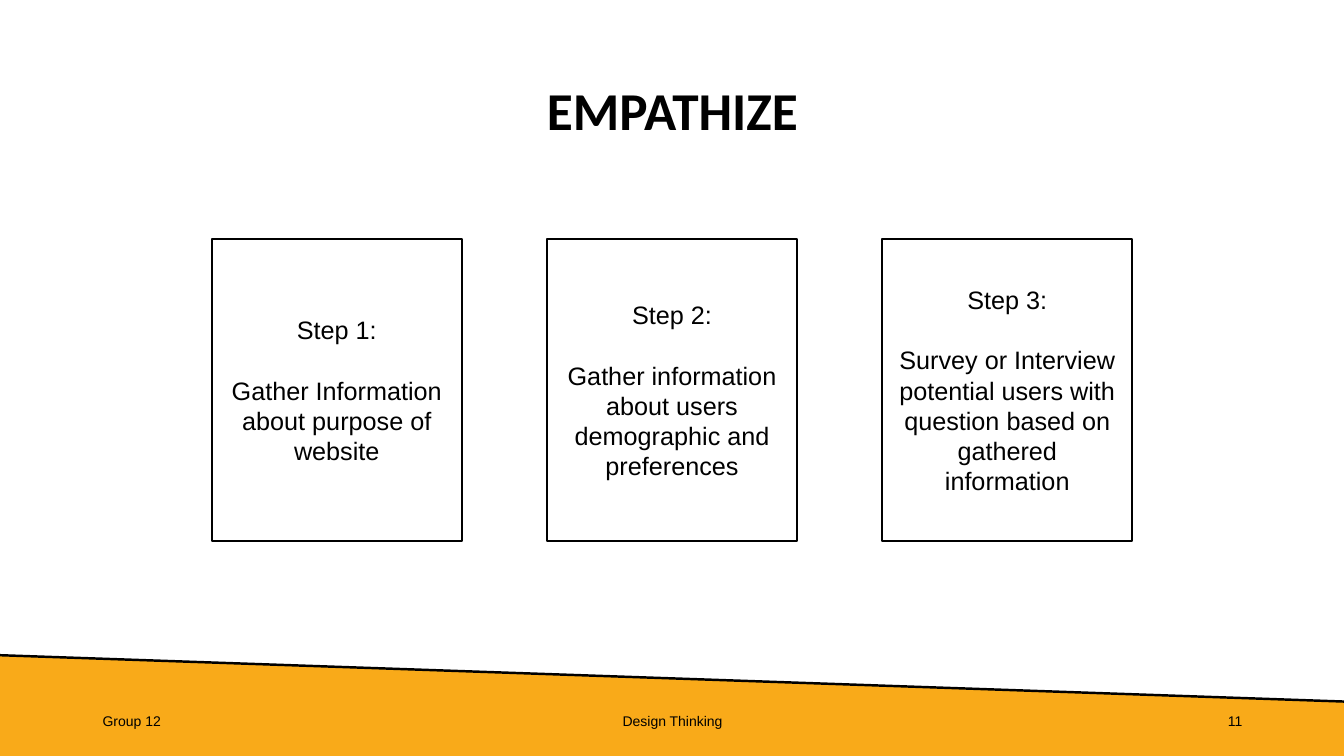
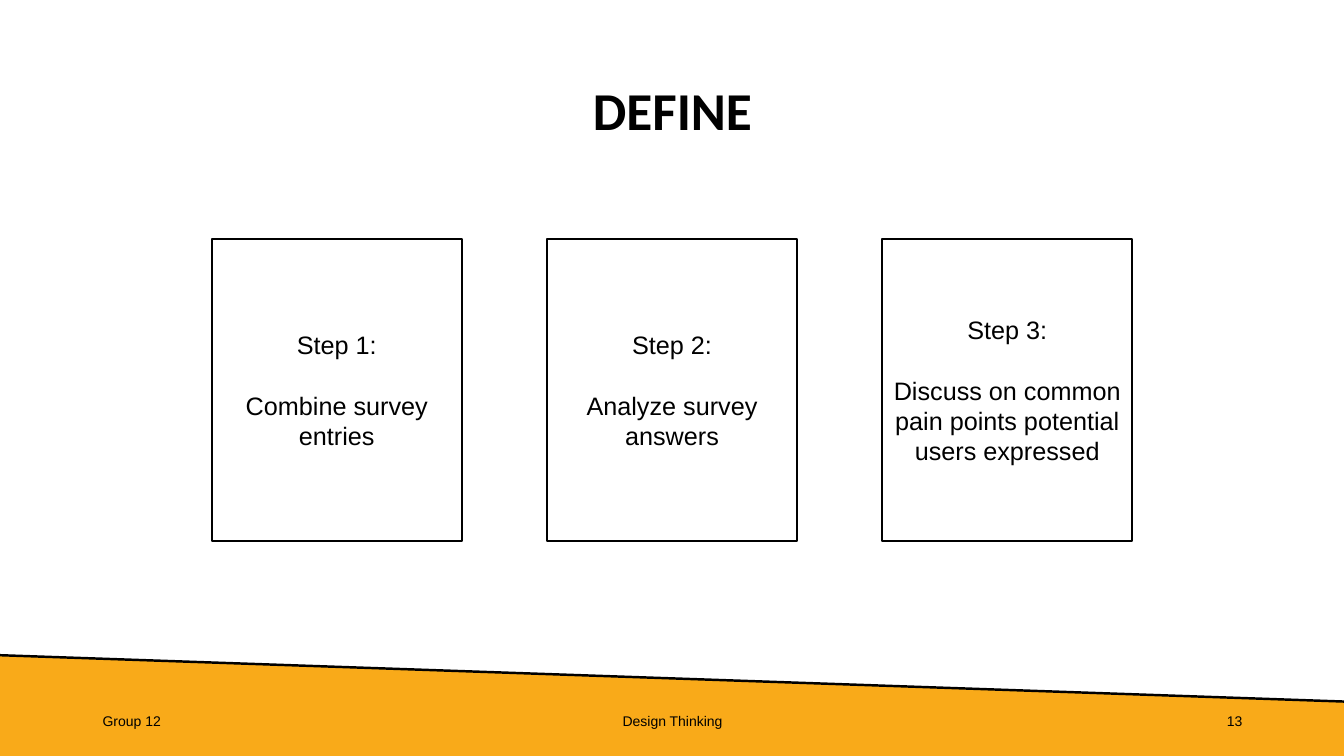
from dataclasses import dataclass

from lxml import etree
from pptx import Presentation
from pptx.dml.color import RGBColor
from pptx.enum.shapes import MSO_CONNECTOR, MSO_SHAPE
from pptx.enum.text import MSO_ANCHOR, MSO_AUTO_SIZE, PP_ALIGN
from pptx.oxml.ns import qn
from pptx.util import Inches, Pt

RECTANGLE = MSO_SHAPE.RECTANGLE
STRAIGHT = MSO_CONNECTOR.STRAIGHT
MIDDLE = MSO_ANCHOR.MIDDLE
NO_AUTOFIT = MSO_AUTO_SIZE.NONE
LEFT, CENTER, RIGHT = PP_ALIGN.LEFT, PP_ALIGN.CENTER, PP_ALIGN.RIGHT
TITLE_ONLY = 5


@dataclass(frozen=True)
class Theme:
    ink: RGBColor = RGBColor(0x00, 0x00, 0x00)
    paper: RGBColor = RGBColor(0xFF, 0xFF, 0xFF)
    band: RGBColor = RGBColor(0xF9, 0xAA, 0x19)
    title_font: str = "Calibri"
    body_font: str = "Arial"
    title_size: Pt = Pt(38)
    step_size: Pt = Pt(18)
    step_gap: Pt = Pt(21.6)
    footer_size: Pt = Pt(10)
    card_line: Pt = Pt(1.5)
    band_line: Pt = Pt(1.75)


THEME = Theme()

# Boxes in inches: left, top, width, height
SLIDE_WIDTH, SLIDE_HEIGHT = 13.33, 7.5
TITLE_BOX = (0.92, 0.4, 11.5, 1.45)
CARDS_BOX = (2.1, 2.37, 9.13, 3)
BAND_BOX = (0, 6.5, SLIDE_WIDTH, 1)
FOOTER_BOX = (0.92, 6.95, 11.5, 0.4)
CARD_WIDTH = 2.48
BAND_DROP = 0.46

GROUP_NAME = "Group 12"
TOPIC = "Design Thinking"

SLIDES = [
    ("EMPATHIZE", 11, [
        "Gather Information about purpose of website",
        "Gather information about users demographic and preferences",
        "Survey or Interview potential users with question based on "
        "gathered information",
    ]),
    ("DEFINE", 13, [
        "Combine survey entries",
        "Analyze survey answers",
        "Discuss on common pain points potential users expressed",
    ]),
]


def inches(box):
    return [Inches(length) for length in box]


def format_text(frame, size, font, align, bold=False):
    frame.word_wrap = True
    frame.auto_size = NO_AUTOFIT
    frame.vertical_anchor = MIDDLE
    for paragraph in frame.paragraphs:
        paragraph.alignment = align
        for run in paragraph.runs:
            run.font.size = size
            run.font.name = font
            run.font.bold = bold
            run.font.color.rgb = THEME.ink


def place_title(slide, box, text):
    title = slide.shapes.title
    title.left, title.top, title.width, title.height = inches(box)
    title.text_frame.text = text
    format_text(title.text_frame, THEME.title_size, THEME.title_font, CENTER, True)
    title.text_frame.paragraphs[0].line_spacing = 0.9


def draw_band(slide, box):
    left, top, width, height = box
    right, bottom = left + width, top + height
    start = Inches(left), Inches(top)
    end = Inches(right), Inches(top + BAND_DROP)

    # Slanted colour field
    outline = slide.shapes.build_freeform(*start)
    outline.add_line_segments([
        end,
        (Inches(right), Inches(bottom)),
        (Inches(left), Inches(bottom)),
    ])
    band = outline.convert_to_shape()
    band.shadow.inherit = False
    band.fill.solid()
    band.fill.fore_color.rgb = THEME.band
    band.line.fill.background()

    # Upper edge
    edge = slide.shapes.add_connector(STRAIGHT, *start, *end)
    edge.line.color.rgb = THEME.ink
    edge.line.width = THEME.band_line
    etree.SubElement(edge._element.spPr, qn("a:effectLst"))


def place_footer(slide, box, number):
    left, top, width, height = box
    side, middle = 3, 4.5
    entries = [
        (GROUP_NAME, left, side, LEFT),
        (TOPIC, left + (width - middle) / 2, middle, CENTER),
        (str(number), left + width - side, side, RIGHT),
    ]
    for text, entry_left, entry_width, align in entries:
        entry = slide.shapes.add_textbox(*inches((entry_left, top, entry_width, height)))
        entry.text_frame.text = text
        format_text(entry.text_frame, THEME.footer_size, THEME.body_font, align)


def draw_card(slide, box, number, text):
    card = slide.shapes.add_shape(RECTANGLE, *inches(box))
    card.shadow.inherit = False
    card.fill.solid()
    card.fill.fore_color.rgb = THEME.paper
    card.line.color.rgb = THEME.ink
    card.line.width = THEME.card_line
    frame = card.text_frame
    frame.text = f"Step {number}:\n{text}"
    format_text(frame, THEME.step_size, THEME.body_font, CENTER)
    frame.paragraphs[0].space_after = THEME.step_gap


def draw_cards(slide, box, steps):
    left, top, width, height = box
    pitch = (width - CARD_WIDTH) / (len(steps) - 1)
    for index, text in enumerate(steps):
        card_box = (left + index * pitch, top, CARD_WIDTH, height)
        draw_card(slide, card_box, index + 1, text)


def add_steps_slide(deck, title, number, steps):
    slide = deck.slides.add_slide(deck.slide_layouts[TITLE_ONLY])
    draw_band(slide, BAND_BOX)
    place_title(slide, TITLE_BOX, title)
    place_footer(slide, FOOTER_BOX, number)
    draw_cards(slide, CARDS_BOX, steps)


def main():
    deck = Presentation()
    deck.slide_width = Inches(SLIDE_WIDTH)
    deck.slide_height = Inches(SLIDE_HEIGHT)
    for title, number, steps in SLIDES:
        add_steps_slide(deck, title, number, steps)
    deck.save("out.pptx")


if __name__ == "__main__":
    main()
